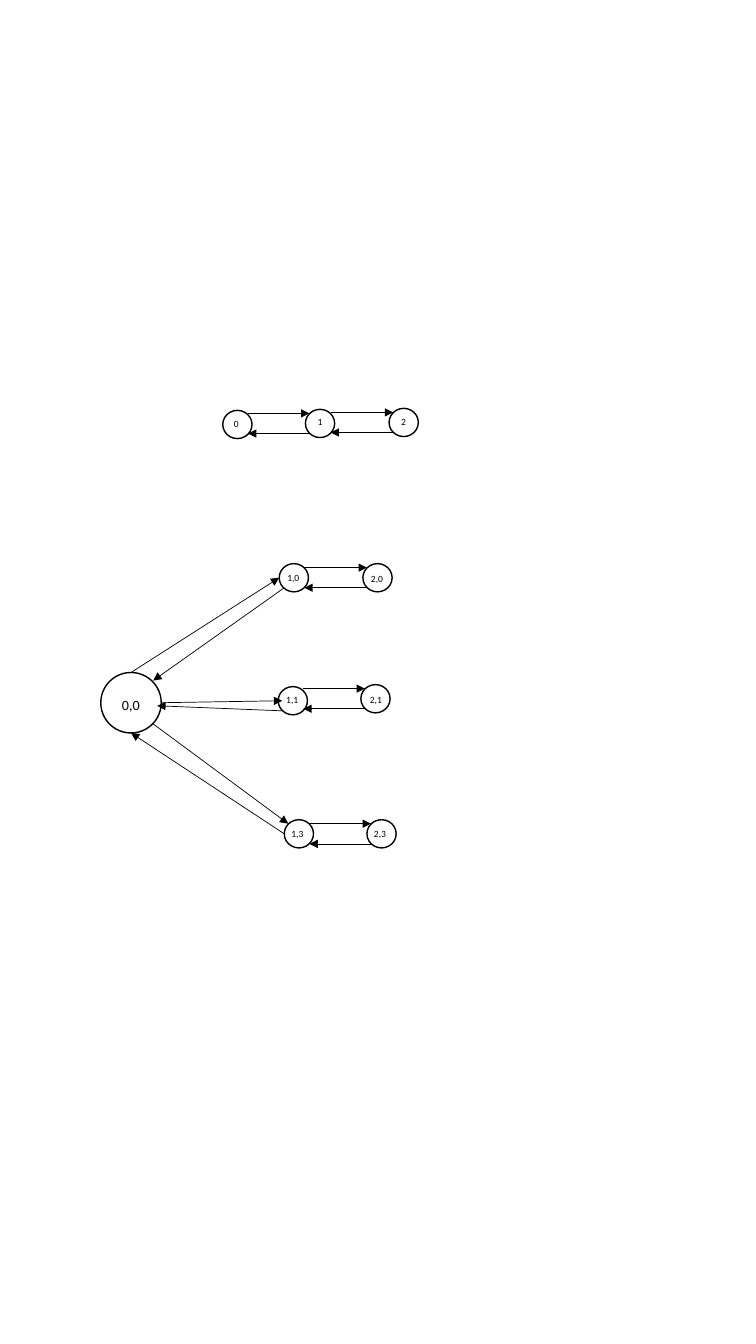
from dataclasses import dataclass
from itertools import pairwise

from lxml.etree import SubElement
from pptx import Presentation
from pptx.dml.color import RGBColor
from pptx.enum.shapes import MSO_CONNECTOR, MSO_SHAPE
from pptx.enum.text import MSO_AUTO_SIZE as AutoSize, PP_ALIGN
from pptx.oxml.ns import qn
from pptx.slide import Slide
from pptx.util import Inches, Pt


@dataclass(frozen=True)
class Theme:
    font: str = "Calibri"
    ink: RGBColor = RGBColor(0, 0, 0)
    paper: RGBColor = RGBColor(255, 255, 255)
    state_size: float = 6.8
    hub_size: float = 10.1
    outline: float = 1
    arrow: float = 0.5


THEME = Theme()


@dataclass(frozen=True)
class State:
    label: str
    left: float
    top: float
    label_left: float
    label_top: float
    label_width: float
    width: float = 0.29
    height: float = 0.28
    label_height: float = 0.21
    text_size: float = THEME.state_size


@dataclass(frozen=True)
class Transition:
    x1: float
    y1: float
    x2: float
    y2: float


# States, one chain per row
HUB = State("0,0", 1, 6.67, 1.12, 6.86, 0.44, 0.6, 0.6, 0.27, THEME.hub_size)
CHAINS = [
    [State("0", 2.21, 4.07, 2.23, 4.1, 0.24),
     State("1", 3.03, 4.06, 3.06, 4.08, 0.22),
     State("2", 3.86, 4.05, 3.89, 4.08, 0.24)],
    [State("1,0", 2.77, 5.59, 2.76, 5.62, 0.39),
     State("2,0", 3.6, 5.59, 3.59, 5.63, 0.4)],
    [State("1,1", 2.76, 6.81, 2.75, 6.83, 0.37),
     State("2,1", 3.58, 6.79, 3.58, 6.83, 0.34)],
    [State("1,3", 2.82, 8.13, 2.8, 8.16, 0.42),
     State("2,3", 3.64, 8.13, 3.62, 8.16, 0.37)],
]

# Transitions out of and back into the hub
HUB_TRANSITIONS = [
    Transition(1.3, 6.67, 2.77, 5.73),
    Transition(2.82, 5.83, 1.52, 6.75),
    Transition(1.6, 6.97, 2.8, 6.95),
    Transition(2.8, 7.05, 1.56, 7),
    Transition(1.52, 7.18, 2.86, 8.17),
    Transition(2.82, 8.27, 1.3, 7.27),
]
RIM = 0.04  # from a circle's bounding box to its arrow ends
RETURN_GAP = 0.2  # between the forward and the return arrow


def neighbour_transitions(source: State, target: State) -> list[Transition]:
    start, end = source.left + source.width - RIM, target.left + RIM
    forward = target.top + RIM
    back = forward + RETURN_GAP
    return [Transition(start, forward, end, forward),
            Transition(end, back, start, back)]


def draw_circle(slide: Slide, state: State) -> None:
    circle = slide.shapes.add_shape(
        MSO_SHAPE.FLOWCHART_CONNECTOR, Inches(state.left), Inches(state.top),
        Inches(state.width), Inches(state.height))
    circle.shadow.inherit = False
    circle.fill.solid()
    circle.fill.fore_color.rgb = THEME.paper
    circle.line.color.rgb = THEME.ink
    circle.line.width = Pt(THEME.outline)


def draw_arrow(slide: Slide, transition: Transition) -> None:
    arrow = slide.shapes.add_connector(
        MSO_CONNECTOR.STRAIGHT, Inches(transition.x1), Inches(transition.y1),
        Inches(transition.x2), Inches(transition.y2))
    arrow.line.color.rgb = THEME.ink
    arrow.line.width = Pt(THEME.arrow)
    SubElement(arrow.line._get_or_add_ln(), qn("a:tailEnd"), type="triangle")
    SubElement(arrow._element.spPr, qn("a:effectLst"))


def draw_label(slide: Slide, state: State) -> None:
    label = slide.shapes.add_textbox(
        Inches(state.label_left), Inches(state.label_top),
        Inches(state.label_width), Inches(state.label_height))
    frame = label.text_frame
    frame.word_wrap = True
    frame.auto_size = AutoSize.SHAPE_TO_FIT_TEXT
    frame.margin_left = frame.margin_right = Inches(0.09)
    frame.margin_top = frame.margin_bottom = Inches(0.05)
    frame.text = state.label
    paragraph = frame.paragraphs[0]
    paragraph.alignment = PP_ALIGN.LEFT
    font = paragraph.runs[0].font
    font.name = THEME.font
    font.size = Pt(state.text_size)
    font.color.rgb = THEME.ink


def main() -> None:
    presentation = Presentation()
    presentation.slide_width = Inches(7.5)
    presentation.slide_height = Inches(13.33)
    slide = presentation.slides.add_slide(presentation.slide_layouts[6])

    states = [HUB] + [state for chain in CHAINS for state in chain]
    transitions = HUB_TRANSITIONS + [
        transition for chain in CHAINS for pair in pairwise(chain)
        for transition in neighbour_transitions(*pair)]

    # Circles at the back, then arrows, then labels
    for state in states:
        draw_circle(slide, state)
    for transition in transitions:
        draw_arrow(slide, transition)
    for state in states:
        draw_label(slide, state)

    presentation.save("out.pptx")


if __name__ == "__main__":
    main()
